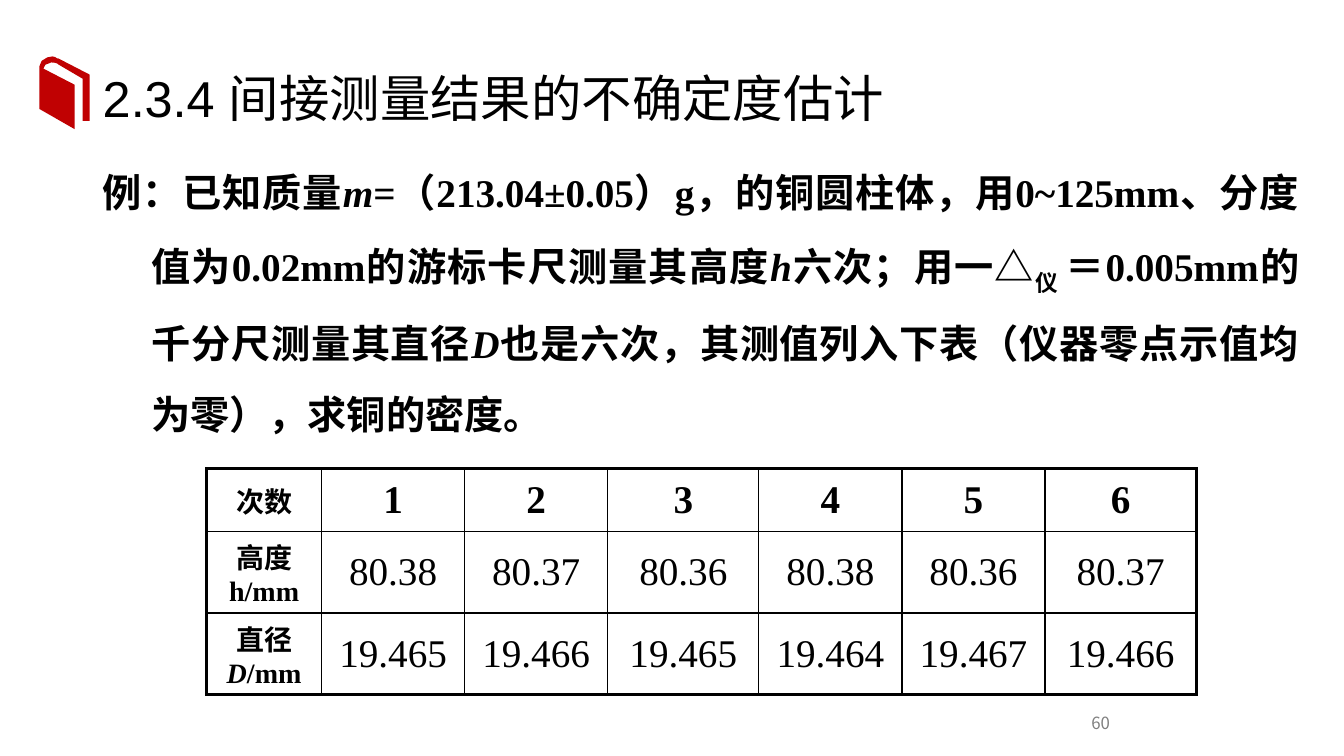
"""Build the slide on the uncertainty of an indirect measurement."""
import pptx
import pptx.dml.color
import pptx.enum.text
import pptx.oxml
import pptx.oxml.ns
import pptx.util

Pt = pptx.util.Pt
ALIGN = pptx.enum.text.PP_ALIGN
ANCHOR = pptx.enum.text.MSO_ANCHOR
COLORS = {"ink": "000000", "book": "C00102", "muted": "808080", "paper": "FFFFFF"}
SERIF, SANS, HAN = "Times New Roman", "Arial", "Noto Sans CJK SC"

BOOK = [
    (37.4, 40.3), (39.4, 40.7), (41, 41.8), (41.8, 41.8), (64.1, 53.3),
    (64.1, 86.4), (59, 86.4), (59, 56.2), (41.8, 46.1), (41, 45.4),
    (39, 44.8), (36.7, 44.6), (32.5, 46.2), (31, 49), (53.3, 60.5),
    (53.3, 92.2), (28.1, 77.8), (28.1, 47.5), (29.8, 43.5), (33.8, 41),
]
EXAMPLE = [
    ("例：已知质量", {}),
    ("m", {"italic": True}),
    ("=（213.04±0.05）g，的铜圆柱体，用0~125mm、分度值为0.02mm的游标卡尺测量其高度", {}),
    ("h", {"italic": True}),
    ("六次；用一△", {}),
    ("仪 ", {"baseline": -25}),
    ("＝0.005mm的千分尺测量其直径", {}),
    ("D", {"italic": True}),
    ("也是六次，其测值列入下表（仪器零点示值均为零），求铜的密度。", {}),
]
READINGS = [
    ([("次数", {})], ["1", "2", "3", "4", "5", "6"]),
    ([("高度h/mm", {})], ["80.38", "80.37", "80.36", "80.38", "80.36", "80.37"]),
    ([("直径", {}), ("D", {"italic": True}), ("/mm", {})],
     ["19.465", "19.466", "19.465", "19.464", "19.467", "19.466"]),
]
COLUMN_WIDTHS = [82.1, 102.2, 102.2, 108, 102.2, 102.2, 108]
ROW_HEIGHTS = [44.6, 55.4, 55.4]


def rgb(name):
    """Return the named colour."""
    return pptx.dml.color.RGBColor.from_string(COLORS[name])


def write(para, text, size=28, font=SERIF, color="ink", bold=False, italic=False, baseline=0):
    """Add one formatted span to a paragraph."""
    span = para.add_run()
    span.text = text
    span.font.size = Pt(size)
    span.font.bold = bold
    span.font.italic = italic
    span.font.color.rgb = rgb(color)
    span.font.name = font
    properties = span._r.get_or_add_rPr()
    properties.find(pptx.oxml.ns.qn("a:latin")).addnext(pptx.oxml.parse_xml(
        f'<a:ea {pptx.oxml.ns.nsdecls("a")} typeface="{HAN}"/>'))
    if baseline:
        properties.set("baseline", str(baseline * 1000))


class Slide:
    """Hold the style and the current page."""

    def __init__(self, page):
        """Keep the page to draw on."""
        self.page = page

    def fill_text(self, box, place, spans, align, spacing, anchor=ANCHOR.TOP, indent=0, **style):
        """Place a box and write its single paragraph."""
        box.left, box.top, box.width, box.height = map(Pt, place)
        frame = box.text_frame
        frame.word_wrap = True
        frame.auto_size = pptx.enum.text.MSO_AUTO_SIZE.NONE
        frame.vertical_anchor = anchor
        para = frame.paragraphs[0]
        properties = para._p.get_or_add_pPr()
        properties.set("marL", str(Pt(indent)))
        properties.set("indent", str(-Pt(indent)))
        properties.append(pptx.oxml.parse_xml(f'<a:buNone {pptx.oxml.ns.nsdecls("a")}/>'))
        para.alignment = align
        para.line_spacing = spacing
        para.space_before = Pt(0)
        for text, extra in spans:
            write(para, text, **style, **extra)

    def title(self, text, place):
        """Write the title placeholder."""
        self.fill_text(self.page.shapes.title, place, [(text, {})],
                       ALIGN.LEFT, 1.2, size=36, font=SANS)

    def body(self, spans, place):
        """Write the body placeholder with a hanging indent."""
        self.fill_text(self.page.placeholders[1], place, spans,
                       ALIGN.JUSTIFY, 1.5, indent=34.6, bold=True)

    def page_number(self, text, place):
        """Add the page number."""
        box = self.page.shapes.add_textbox(*map(Pt, place))
        self.fill_text(box, place, [(text, {})], ALIGN.CENTER, 1.2,
                       anchor=ANCHOR.MIDDLE, size=12, font=HAN, color="muted")

    def outline(self, points, color):
        """Draw a filled closed outline."""
        corners = [(Pt(x), Pt(y)) for x, y in points]
        builder = self.page.shapes.build_freeform(*corners[0], scale=1.0)
        builder.add_line_segments(corners[1:], close=True)
        shape = builder.convert_to_shape()
        shape.shadow.inherit = False
        shape.fill.solid()
        shape.fill.fore_color.rgb = rgb(color)
        shape.line.fill.background()

    def cell(self, cell, spans, outer, **style):
        """Write one cell, with thicker lines on its outer sides."""
        properties = cell._tc.get_or_add_tcPr()
        for side in "LRTB":
            width = Pt(2.25 if side in outer else 1)
            properties.append(pptx.oxml.parse_xml(
                f'<a:ln{side} {pptx.oxml.ns.nsdecls("a")} w="{width}"><a:solidFill>'
                f'<a:srgbClr val="{COLORS["ink"]}"/></a:solidFill></a:ln{side}>'))
        cell.fill.solid()
        cell.fill.fore_color.rgb = rgb("paper")
        cell.vertical_anchor = ANCHOR.MIDDLE
        para = cell.text_frame.paragraphs[0]
        para.alignment = ALIGN.CENTER
        for text, extra in spans:
            write(para, text, **style, **extra)

    def table(self, rows, left, top):
        """Add the table of readings."""
        size = Pt(sum(COLUMN_WIDTHS)), Pt(sum(ROW_HEIGHTS))
        table = self.page.shapes.add_table(
            len(rows), len(COLUMN_WIDTHS), Pt(left), Pt(top), *size).table
        table.first_row = table.horz_banding = False
        for column, width in zip(table.columns, COLUMN_WIDTHS):
            column.width = Pt(width)
        for line, height in zip(table.rows, ROW_HEIGHTS):
            line.height = Pt(height)
        last_row, last_column = len(rows) - 1, len(COLUMN_WIDTHS) - 1
        for r, (label, values) in enumerate(rows):
            for c, spans in enumerate([label] + [[(value, {})] for value in values]):
                edges = {"L": c == 0, "R": c == last_column, "T": r == 0, "B": r == last_row}
                outer = [side for side, on_edge in edges.items() if on_edge]
                self.cell(table.cell(r, c), spans, outer,
                          size=20 if c == 0 else 28, bold=r == 0 or c == 0)


def main():
    """Build and save the deck."""
    deck = pptx.Presentation()
    deck.slide_width, deck.slide_height = Pt(960), Pt(540)
    slide = Slide(deck.slides.add_slide(deck.slide_layouts[1]))
    slide.outline(BOOK, "book")
    slide.title("2.3.4 间接测量结果的不确定度估计", (66.2, 36, 807.8, 64.1))
    slide.page_number("60", (678.2, 500.4, 216, 28.8))
    slide.body(EXAMPLE, (66.2, 100.1, 869, 204.5))
    slide.table(READINGS, 147.6, 334.8)
    deck.save("out.pptx")


if __name__ == "__main__":
    main()
